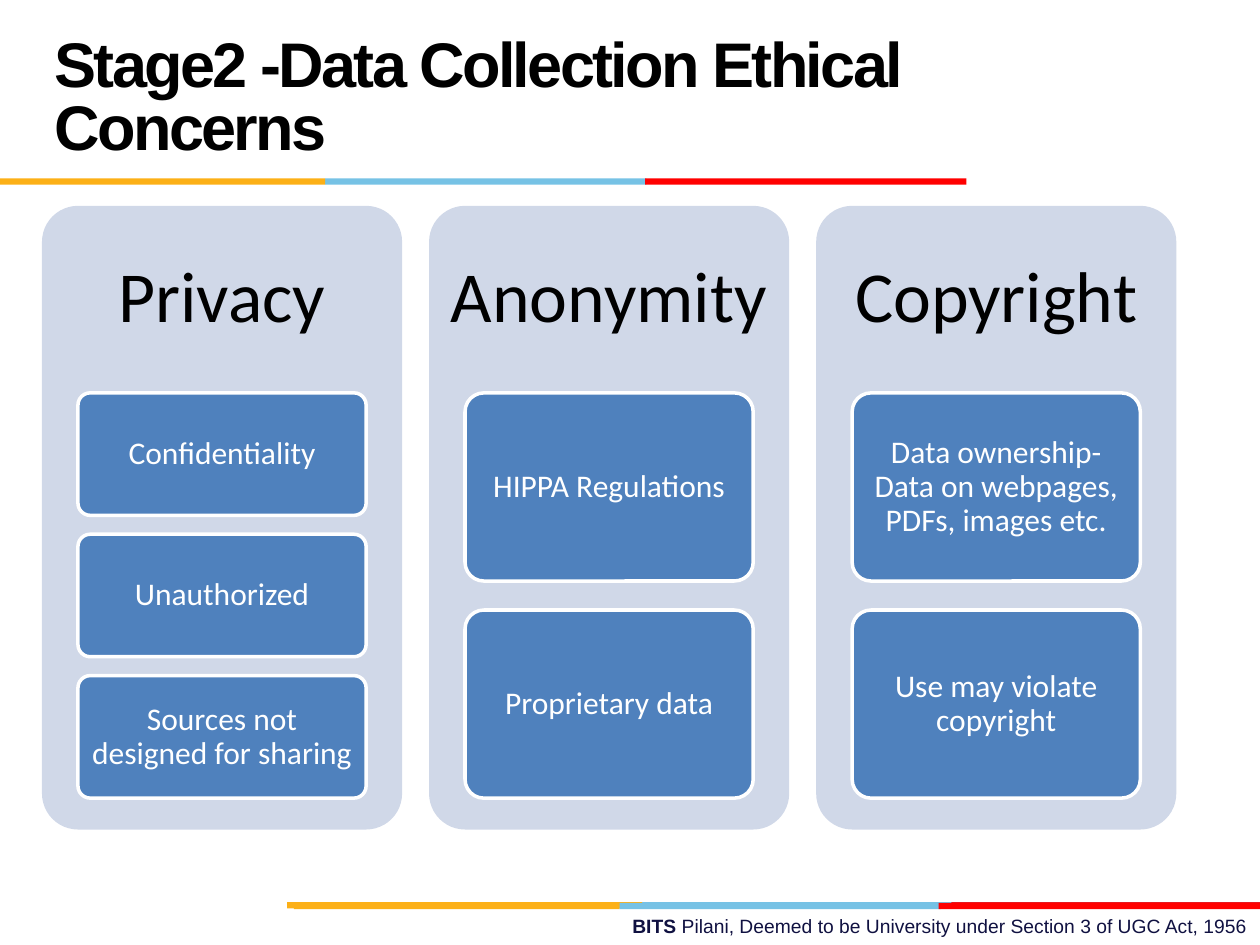
from pptx import Presentation
from pptx.dml.color import RGBColor
from pptx.enum import shapes, text
from pptx.util import Pt

BLACK = RGBColor(0x00, 0x00, 0x00)
WHITE = RGBColor(0xFF, 0xFF, 0xFF)
NAVY = RGBColor(0x10, 0x11, 0x41)
AMBER = RGBColor(0xFC, 0xB0, 0x17)
SKY = RGBColor(0x76, 0xC2, 0xE5)
RED = RGBColor(0xFF, 0x00, 0x00)
CRIMSON = RGBColor(0xE3, 0x1C, 0x24)
PANEL = RGBColor(0xD0, 0xD8, 0xE8)
CARD = RGBColor(0x4F, 0x81, 0xBD)

# Each stripe: top, then (left, width, colour) for its segments
STRIPES = [
    (515.5, [(364.3, 183.6, SKY), (543.6, 176.4, CRIMSON), (164, 203, AMBER)]),
    (516, [(354, 183.6, SKY), (168, 186, AMBER), (536.4, 183.6, RED)]),
    (102, [(185.8, 183.6, SKY), (0, 185.8, AMBER), (368.6, 183.6, RED)]),
]
STRIPE_HEIGHT = 3.6

COLUMNS = [
    ("Privacy", ["Confidentiality", "Unauthorized",
                 "Sources not designed for sharing"]),
    ("Anonymity", ["HIPPA Regulations", "Proprietary data"]),
    ("Copyright", ["Data ownership-Data on webpages, PDFs, images etc.",
                   "Use may violate copyright"]),
]
PANEL_LEFT, PANEL_TOP, PANEL_PITCH = 24, 117.6, 221.2
PANEL_WIDTH, PANEL_HEIGHT, HEADING_HEIGHT = 205.8, 356.4, 106.9
CARD_WIDTH, CARDS_HEIGHT = 164.7, 231.6
GAP_RATIO = 2 / 13  # gap between cards as a share of card height


def add_block(slide, kind, left, top, width, height, fill, line=None):
    block = slide.shapes.add_shape(kind, Pt(left), Pt(top), Pt(width), Pt(height))
    block.shadow.inherit = False
    block.fill.solid()
    block.fill.fore_color.rgb = fill
    if line is None:
        block.line.fill.background()
    else:
        block.line.color.rgb = line
        block.line.width = Pt(2)
    if kind == shapes.MSO_SHAPE.ROUNDED_RECTANGLE:
        block.adjustments[0] = 0.1
    return block


def style_font(font, name, size, colour, bold=False):
    font.name = name
    font.size = Pt(size)
    font.color.rgb = colour
    font.bold = bold


def set_centred_text(box, words, size, colour, inset_x, inset_y):
    frame = box.text_frame
    frame.word_wrap = True
    frame.vertical_anchor = text.MSO_ANCHOR.MIDDLE
    frame.margin_left = frame.margin_right = Pt(inset_x)
    frame.margin_top = frame.margin_bottom = Pt(inset_y)
    frame.text = words
    para = frame.paragraphs[0]
    para.alignment = text.PP_ALIGN.CENTER
    para.line_spacing = 0.9
    style_font(para.runs[0].font, "Calibri", size, colour)


def add_stripe(slide, top, segments):
    for left, width, colour in segments:
        add_block(slide, shapes.MSO_SHAPE.RECTANGLE,
                  left, top, width, STRIPE_HEIGHT, colour)


def add_column(slide, left, heading, cards):
    """Draw a panel with its heading and cards that share the space below."""
    rounded = shapes.MSO_SHAPE.ROUNDED_RECTANGLE
    add_block(slide, rounded, left, PANEL_TOP, PANEL_WIDTH, PANEL_HEIGHT, PANEL)
    box = slide.shapes.add_textbox(
        Pt(left), Pt(PANEL_TOP), Pt(PANEL_WIDTH), Pt(HEADING_HEIGHT))
    set_centred_text(box, heading, 41, BLACK, 12.2, 12.2)

    count = len(cards)
    height = CARDS_HEIGHT / (count + (count - 1) * GAP_RATIO)
    card_left = left + (PANEL_WIDTH - CARD_WIDTH) / 2
    for index, words in enumerate(cards):
        top = PANEL_TOP + HEADING_HEIGHT + index * height * (1 + GAP_RATIO)
        card = add_block(slide, rounded, card_left, top, CARD_WIDTH, height,
                         CARD, WHITE)
        set_centred_text(card, words, 18, WHITE, 3.6, 2.7)


def add_title(slide, words):
    title = slide.shapes.title
    title.left, title.top, title.width, title.height = Pt(24), Pt(12), Pt(498), Pt(90)
    frame = title.text_frame
    frame.text = words
    frame.word_wrap = True
    frame.auto_size = text.MSO_AUTO_SIZE.NONE
    frame.vertical_anchor = text.MSO_ANCHOR.MIDDLE
    para = frame.paragraphs[0]
    para.alignment = text.PP_ALIGN.LEFT
    para.line_spacing = Pt(36)
    span = para.runs[0]
    style_font(span.font, "Arial", 36, BLACK, bold=True)
    span.font._element.set("spc", "-150")


def add_footer(slide):
    box = slide.shapes.add_textbox(Pt(257.8), Pt(519), Pt(462.2), Pt(20.6))
    box.text_frame.word_wrap = True
    para = box.text_frame.paragraphs[0]
    para.alignment = text.PP_ALIGN.RIGHT
    for words, bold in [
        ("BITS ", True),
        ("Pilani, Deemed to be University under Section 3 of UGC Act, 1956", False),
    ]:
        span = para.add_run()
        span.text = words
        style_font(span.font, "Arial", 11, NAVY, bold)


def main():
    deck = Presentation()
    deck.slide_width, deck.slide_height = Pt(720), Pt(540)
    page = deck.slides.add_slide(deck.slide_layouts[5])
    add_footer(page)
    for top, segments in STRIPES:
        add_stripe(page, top, segments)
    for index, (heading, cards) in enumerate(COLUMNS):
        add_column(page, PANEL_LEFT + index * PANEL_PITCH, heading, cards)
    add_title(page, "Stage2 -Data Collection Ethical Concerns")
    deck.save("out.pptx")


if __name__ == "__main__":
    main()
